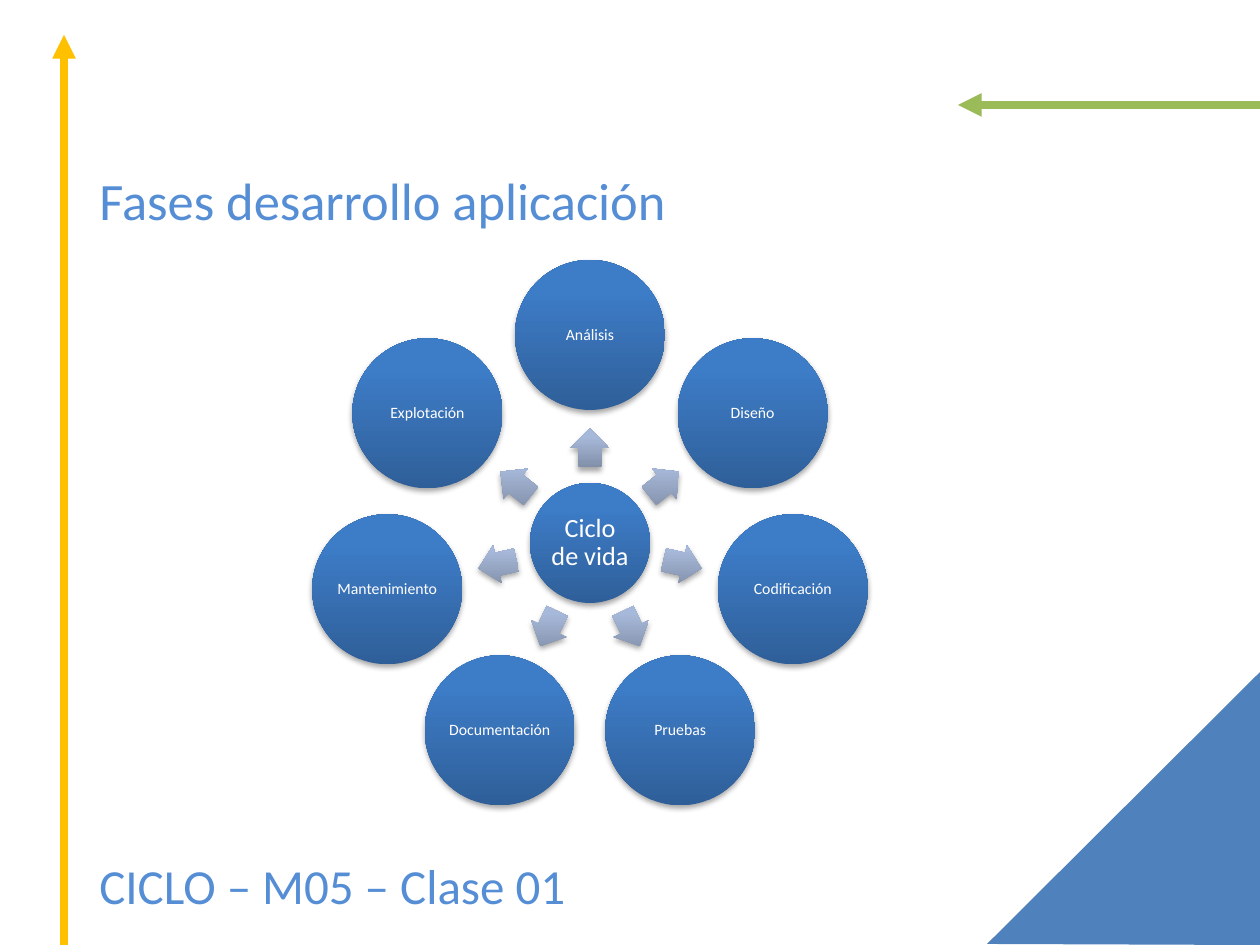
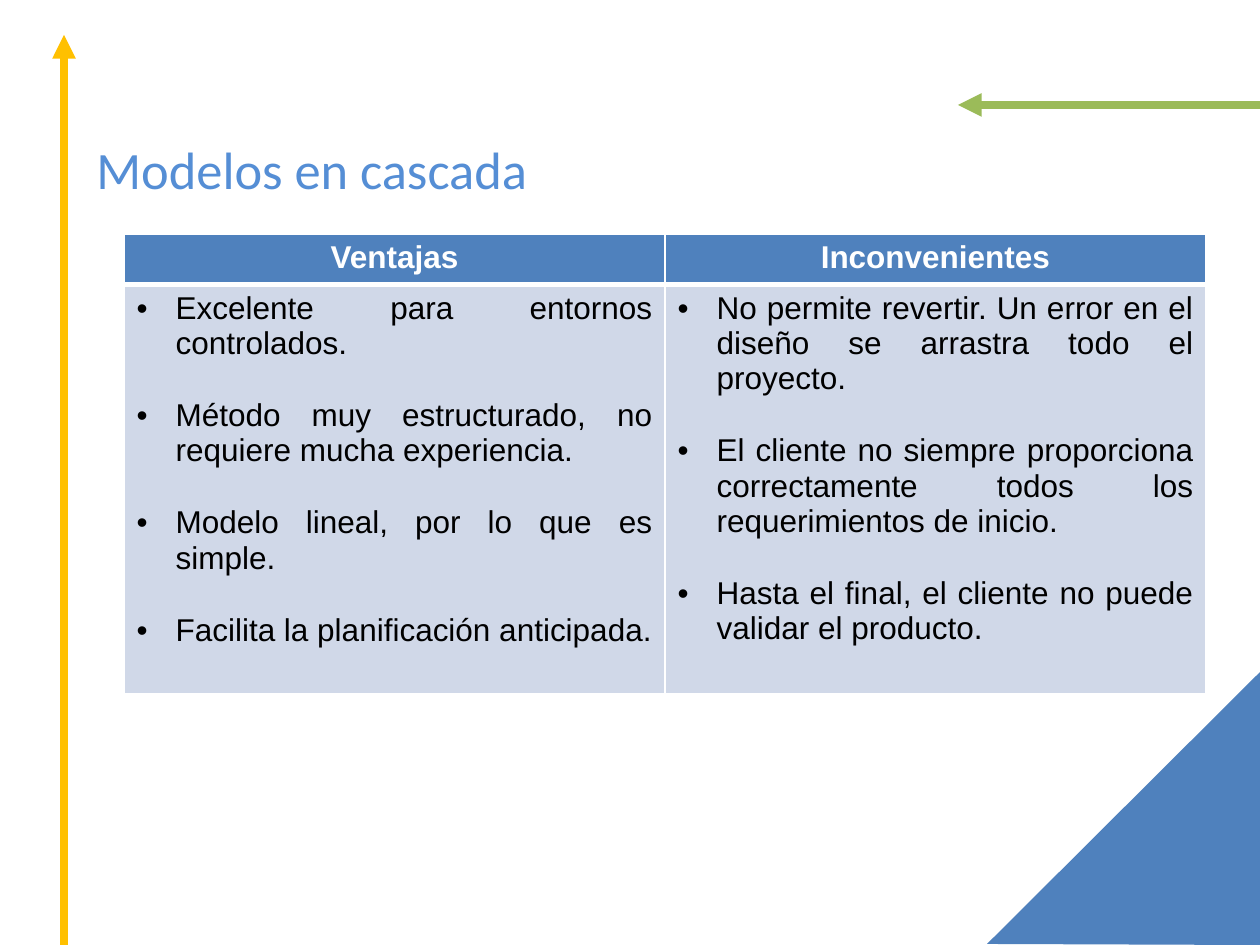
from math import cos, radians, sin
from lxml import etree
from pptx import Presentation
from pptx.dml.color import RGBColor
from pptx.enum.shapes import MSO_CONNECTOR, MSO_SHAPE
from pptx.enum.text import MSO_ANCHOR, PP_ALIGN
from pptx.oxml.ns import qn
from pptx.util import Emu, Pt

SCALE = 914400 / 126
LINE = MSO_CONNECTOR.STRAIGHT
OVAL, ARROW = MSO_SHAPE.OVAL, MSO_SHAPE.RIGHT_ARROW
MIDDLE, TOP = MSO_ANCHOR.MIDDLE, MSO_ANCHOR.TOP
LEFT, CENTER, JUSTIFY = PP_ALIGN.LEFT, PP_ALIGN.CENTER, PP_ALIGN.JUSTIFY

WHITE = RGBColor(0xFF, 0xFF, 0xFF)
BLACK = RGBColor(0x00, 0x00, 0x00)
GOLD = RGBColor(0xFF, 0xC0, 0x00)
GREEN = RGBColor(0x9B, 0xBB, 0x59)
BLUE = RGBColor(0x4F, 0x81, 0xBD)
SKY = RGBColor(0x55, 0x8E, 0xD5)
PALE = RGBColor(0xD0, 0xD8, 0xE8)
DISC = (RGBColor(0x2F, 0x5F, 0x99), RGBColor(0x3D, 0x7C, 0xC7))
STEEL = (RGBColor(0x81, 0x8F, 0xA8), RGBColor(0xA7, 0xB9, 0xDA))


def px(*nums):
    return [Emu(round(n * SCALE)) for n in nums]


def style(para, font, size, color, align, bold=False):
    para.alignment = align
    for run in para.runs:
        run.font.name = font
        run.font.size = Pt(size)
        run.font.color.rgb = color
        run.font.bold = bold


prs = Presentation()
prs.slide_width, prs.slide_height = px(1260, 945)
cycle, models = [prs.slides.add_slide(prs.slide_layouts[6]) for _ in range(2)]

for slide in (cycle, models):
    for ends, color in (((64, 945, 64, 35), GOLD), ((1260, 105, 958, 105), GREEN)):
        line = slide.shapes.add_connector(LINE, *px(*ends))
        line.line.color.rgb = color
        line.line.width = Pt(4.5)
        etree.SubElement(line.line._get_or_add_ln(), qn("a:tailEnd"), type="triangle")
        etree.SubElement(line._element.spPr, qn("a:effectLst"))
    path = slide.shapes.build_freeform(987, 944, scale=SCALE)
    path.add_line_segments([(1260, 672), (1260, 945)])
    corner = path.convert_to_shape()
    corner.shadow.inherit = False
    corner.fill.solid()
    corner.fill.fore_color.rgb = BLUE
    corner.line.fill.background()

for slide, text, place, size, anchor in (
    (cycle, "Fases desarrollo aplicación", (87, 146, 1139, 108), 30, MIDDLE),
    (cycle, "CICLO – M05 – Clase 01", (87, 849, 504, 73), 28, TOP),
    (models, "Modelos en cascada", (84, 125, 1139, 88), 30, MIDDLE),
):
    frame = slide.shapes.add_textbox(*px(*place)).text_frame
    frame.word_wrap = True
    frame.vertical_anchor = anchor
    frame.text = text
    style(frame.paragraphs[0], "Calibri", size, SKY, LEFT)

HUB_X, HUB_Y = 590, 543
RING, SPOKE = 208, 95
phases = ["Análisis", "Diseño", "Codificación", "Pruebas",
          "Documentación", "Mantenimiento", "Explotación"]
parts = [(OVAL, HUB_X, HUB_Y, 120, 0, DISC, "Ciclo de vida", 15)]
for i, phase in enumerate(phases):
    turn = 360 * i / len(phases) - 90
    dx, dy = cos(radians(turn)), sin(radians(turn))
    parts.append((ARROW, HUB_X + SPOKE * dx, HUB_Y + SPOKE * dy, 39, turn, STEEL, "", 9))
    parts.append((OVAL, HUB_X + RING * dx, HUB_Y + RING * dy, 150, 0, DISC, phase, 9))

for kind, x, y, side, turn, shades, text, size in parts:
    shape = cycle.shapes.add_shape(kind, *px(x - side / 2, y - side / 2, side, side))
    shape.rotation = turn % 360
    shape.line.fill.background()
    shape.fill.gradient()
    shape.fill.gradient_angle = 90
    for stop, shade, spot in zip(shape.fill.gradient_stops, shades, (0, 0.8)):
        stop.color.rgb = shade
        stop.position = spot
    props = shape._element.spPr
    props.find(qn("a:gradFill")).set("rotWithShape", "0")
    shape.shadow.inherit = False
    glow = etree.SubElement(props.find(qn("a:effectLst")), qn("a:outerShdw"),
                            blurRad="40000", dist="23000", dir="5400000", rotWithShape="0")
    tint = etree.SubElement(glow, qn("a:srgbClr"), val="000000")
    etree.SubElement(tint, qn("a:alpha"), val="35000")
    if kind == ARROW:
        shape.adjustments[0] = 0.6
        continue
    frame = shape.text_frame
    frame.word_wrap = True
    frame.vertical_anchor = MIDDLE
    frame.margin_left, frame.margin_right, frame.margin_top, frame.margin_bottom = px(1, 1, 1, 1)
    frame.text = text
    frame.paragraphs[0].line_spacing = 0.9
    style(frame.paragraphs[0], "Calibri", size, WHITE, CENTER)

lists = {
    "Ventajas": [
        "Excelente para entornos controlados.",
        "Método muy estructurado, no requiere mucha experiencia.",
        "Modelo lineal, por lo que es simple.",
        "Facilita la planificación anticipada.",
    ],
    "Inconvenientes": [
        "No permite revertir. Un error en el diseño se arrastra todo el proyecto.",
        "El cliente no siempre proporciona correctamente todos los requerimientos de inicio.",
        "Hasta el final, el cliente no puede validar el producto.",
    ],
}
table = models.shapes.add_table(2, 2, *px(124, 234, 1082, 458)).table
table.rows[0].height, table.rows[1].height = px(49, 409)
[indent] = px(39)
for col, (head, items) in enumerate(lists.items()):
    top, body = table.cell(0, col), table.cell(1, col)
    for cell, color, base in ((top, BLUE, 3), (body, PALE, 1)):
        props = cell._tc.get_or_add_tcPr()
        for edge, width in (("lnL", 1), ("lnR", 1), ("lnT", 4 - base if cell is top else 3), ("lnB", base)):
            rule = etree.SubElement(props, qn("a:" + edge), w=str(Pt(width)))
            fill = etree.SubElement(rule, qn("a:solidFill"))
            etree.SubElement(fill, qn("a:srgbClr"), val=str(WHITE))
        cell.fill.solid()
        cell.fill.fore_color.rgb = color
    top.text_frame.text = head
    style(top.text_frame.paragraphs[0], "Arial", 18, WHITE, CENTER, True)
    body.text_frame.text = "\n".join(items)
    for i, para in enumerate(body.text_frame.paragraphs):
        style(para, "Arial", 18, BLACK, JUSTIFY)
        if i:
            para.space_before = Pt(21)
        props = para._p.get_or_add_pPr()
        props.set("marL", str(indent))
        props.set("indent", str(-indent))
        etree.SubElement(props, qn("a:buFont"), typeface="Arial")
        etree.SubElement(props, qn("a:buChar"), char="•")

prs.save("out.pptx")
